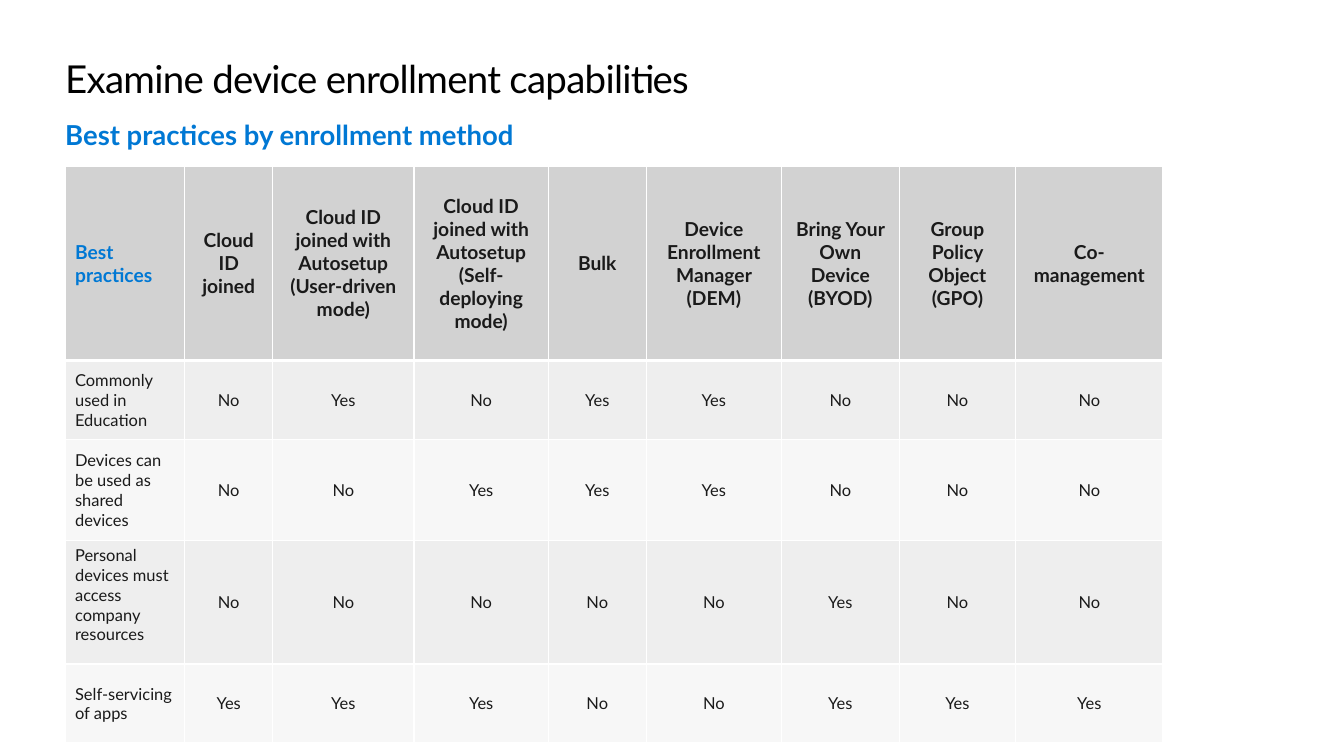
import pptx
import pptx.util
import pptx.dml.color
import pptx.enum.text
import pptx.oxml
import pptx.oxml.ns

Inches = pptx.util.Inches
Align = pptx.enum.text.PP_ALIGN
Anchor = pptx.enum.text.MSO_ANCHOR
INK = {"title": "000000", "accent": "0078D4", "text": "1A1A1A", "head": "D2D2D2",
       "odd": "EEEEEE", "even": "F7F7F7", "edge": "FFFFFF"}


def write(frame, text, size, ink, bold=False, align=Align.LEFT):
    para = frame.paragraphs[0]
    para.alignment = align
    run = para.add_run()
    run.text = text
    run.font.name = "Lato"
    run.font.size = pptx.util.Pt(size)
    run.font.bold = bold
    run.font.color.rgb = pptx.dml.color.RGBColor.from_string(INK[ink])
    return run


def edge(cell, side, width):
    props = cell._tc.get_or_add_tcPr()
    line = pptx.oxml.parse_xml(
        f'<a:{side} {pptx.oxml.ns.nsdecls("a")} w="{pptx.util.Pt(width)}"><a:solidFill>'
        f'<a:srgbClr val="{INK["edge"]}"/></a:solidFill></a:{side}>')
    props.append(line)


deck = pptx.Presentation()
deck.slide_width = Inches(13.6)
deck.slide_height = Inches(7.65)
slide = deck.slides.add_slide(deck.slide_layouts[5])

title = slide.shapes.title
title.left, title.top = Inches(0.66), Inches(0.55)
title.width, title.height = Inches(12.29), Inches(0.48)
label = slide.shapes.add_textbox(Inches(0.66), Inches(1.19), Inches(5.14), Inches(0.34))
for shape in (title, label):
    frame = shape.text_frame
    frame.word_wrap = True
    frame.auto_size = pptx.enum.text.MSO_AUTO_SIZE.NONE
    frame.margin_left = frame.margin_right = 0
    frame.margin_top = frame.margin_bottom = 0
run = write(title.text_frame, "Examine device enrollment capabilities", 28, "title")
run.font._element.set("spc", "-50")
write(label.text_frame, "Best practices by enrollment method", 20, "accent", True)

heads = ["Best practices", "Cloud ID joined",
         "Cloud ID joined with Autosetup (User-driven mode)",
         "Cloud ID joined with Autosetup (Self-deploying mode)",
         "Bulk", "Device Enrollment Manager (DEM)", "Bring Your Own Device (BYOD)",
         "Group Policy Object (GPO)", "Co-management"]
marks = {
    "Commonly used in Education": "NYNYYNNN",
    "Devices can be used as shared devices": "NNYYYNNN",
    "Personal devices must access company resources": "NNNNNYNN",
    "Self-servicing of apps": "YYYNNYYY",
}
words = {"Y": "Yes", "N": "No"}
rows = [heads] + [[name] + [words[m] for m in line] for name, line in marks.items()]
wides = [1.21, 0.89, 1.43, 1.36, 0.99, 1.37, 1.19, 1.18, 1.49]
highs = [1.97, 0.8, 1.02, 1.25, 0.8]

grid = slide.shapes.add_table(len(rows), len(heads), Inches(0.66), Inches(1.68),
                              Inches(sum(wides)), Inches(sum(highs))).table
for col, wide in zip(grid.columns, wides):
    col.width = Inches(wide)
for r, (row, high) in enumerate(zip(rows, highs)):
    grid.rows[r].height = Inches(high)
    top = r == 0
    for c, text in enumerate(row):
        cell = grid.cell(r, c)
        cell.vertical_anchor = Anchor.TOP if (r, c) == (3, 0) else Anchor.MIDDLE
        for side in ("lnL", "lnR", "lnT", "lnB"):
            thick = (top and side == "lnB") or (r == 1 and side == "lnT")
            edge(cell, side, 3 if thick else 1)
        cell.fill.solid()
        tone = "head" if top else "odd" if r % 2 else "even"
        cell.fill.fore_color.rgb = pptx.dml.color.RGBColor.from_string(INK[tone])
        write(cell.text_frame, text, 14 if top else 12,
              "accent" if top and c == 0 else "text", top,
              Align.CENTER if c else Align.LEFT)

deck.save("out.pptx")
